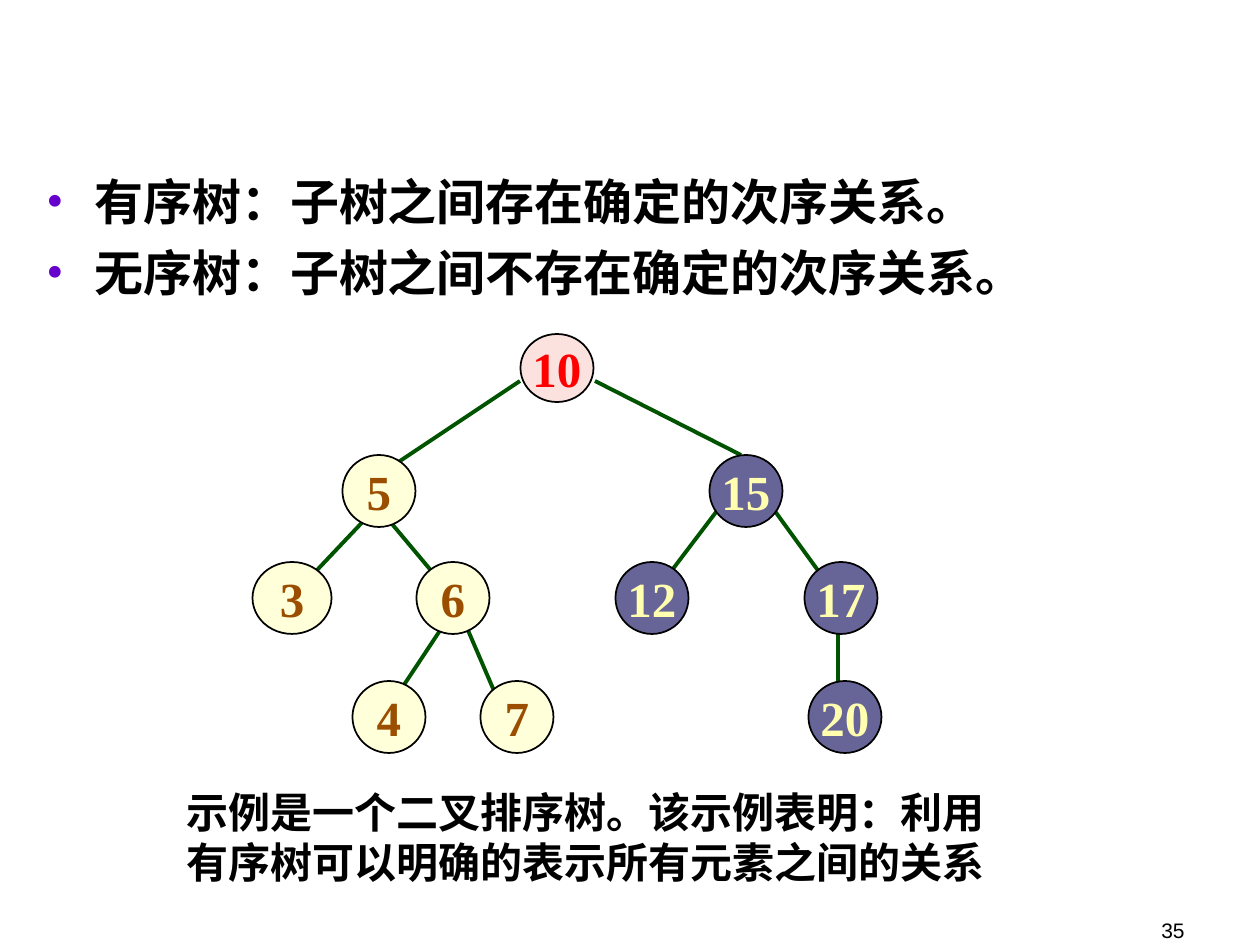
import pptx
import pptx.util
import pptx.dml.color
import pptx.enum.lang
import pptx.enum.shapes
import pptx.enum.text
from dataclasses import dataclass
from lxml import etree

POINTS = ["有序树：子树之间存在确定的次序关系。",
          "无序树：子树之间不存在确定的次序关系。"]
NOTE = "示例是一个二叉排序树。该示例表明：利用有序树可以明确的表示所有元素之间的关系"
PAGE = "35"

# row centre: (label, kind, column centre), all in px
ROWS = {
    368: [("10", "root", 557)],
    491: [("5", "left", 379), ("15", "right", 746)],
    598: [("3", "left", 292), ("6", "left", 453),
          ("12", "right", 652), ("17", "right", 841)],
    717: [("4", "left", 389), ("7", "left", 517), ("20", "right", 845)],
}
NODE = (73, 72)
SIZES = {"10": (73, 68), "3": (79, 72)}

# x and y of both ends, parent first
EDGES = [
    (838, 621, 838, 721), (769, 503, 822, 576), (723, 503, 660, 586),
    (382, 512, 444, 586), (372, 512, 302, 586), (461, 614, 501, 707),
    (451, 614, 392, 703), (520, 381, 382, 473), (595, 381, 741, 455),
]


@dataclass(frozen=True)
class Theme:
    serif: str = "Times New Roman"
    sans: str = "Arial"
    ink: str = "000000"
    bullet: str = "6600CC"
    edge: str = "005400"
    root: tuple = ("FBE2DF", "FF0000")
    left: tuple = ("FFFFD9", "9C4E00")
    right: tuple = ("676597", "FFFFAF")
    big: int = 28
    mid: int = 24
    small: int = 12


THEME = Theme()
ALIGN = pptx.enum.text.PP_ALIGN
ANCHOR = pptx.enum.text.MSO_ANCHOR
Pt = pptx.util.Pt


def px(*vals):
    return [round(v * 914400 / 126) for v in vals]


def rgb(code):
    return pptx.dml.color.RGBColor.from_string(code)


def sub(parent, tag, **attrs):
    return etree.SubElement(parent, pptx.oxml.ns.qn(tag), attrs)


def write(para, text, size, color=THEME.ink, face=THEME.serif, bold=True):
    run = para.add_run()
    run.text = text
    font = run.font
    font.name, font.size, font.bold = face, Pt(size), bold
    font.color.rgb = rgb(color)
    font.language_id = pptx.enum.lang.MSO_LANGUAGE_ID.SIMPLIFIED_CHINESE


def add_box(slide, *area):
    frame = slide.shapes.add_textbox(*px(*area)).text_frame
    frame.word_wrap = True
    return frame


def add_points(slide):
    frame = add_box(slide, 34, 165, 1191, 714)
    for i, text in enumerate(POINTS):
        para = frame.add_paragraph() if i else frame.paragraphs[0]
        if i:
            para.space_before = Pt(7)
        props = para._p.get_or_add_pPr()
        hang = px(48)[0]
        props.set("marL", str(hang))
        props.set("indent", str(-hang))
        sub(sub(props, "a:buClr"), "a:srgbClr", val=THEME.bullet)
        sub(props, "a:buFont", typeface=THEME.serif)
        sub(props, "a:buChar", char="•")
        write(para, text, THEME.big)


def add_edge(slide, ends):
    kind = pptx.enum.shapes.MSO_CONNECTOR.STRAIGHT
    edge = slide.shapes.add_connector(kind, *px(*ends))
    edge.line.color.rgb = rgb(THEME.edge)
    edge.line.width = Pt(2.25)
    sub(edge._element.spPr, "a:effectLst")


def add_node(slide, label, kind, mid_x, mid_y):
    wide, high = SIZES.get(label, NODE)
    fill, ink = getattr(THEME, kind)
    area = px(mid_x - wide / 2, mid_y - high / 2, wide, high)
    node = slide.shapes.add_shape(pptx.enum.shapes.MSO_SHAPE.OVAL, *area)
    node.shadow.inherit = False
    node.fill.solid()
    node.fill.fore_color.rgb = rgb(fill)
    node.line.color.rgb = rgb(THEME.ink)
    node.line.width = Pt(1)
    frame = node.text_frame
    frame.word_wrap = False
    frame.vertical_anchor = ANCHOR.MIDDLE
    para = frame.paragraphs[0]
    para.alignment = ALIGN.CENTER
    write(para, label, THEME.big, ink)


def main():
    deck = pptx.Presentation()
    deck.slide_width, deck.slide_height = px(1260, 945)
    slide = deck.slides.add_slide(deck.slide_layouts[6])

    frame = add_box(slide, 903, 886, 294, 63)
    frame.vertical_anchor = ANCHOR.BOTTOM
    frame.paragraphs[0].alignment = ALIGN.RIGHT
    write(frame.paragraphs[0], PAGE, THEME.small, face=THEME.sans, bold=False)

    add_points(slide)
    for ends in EDGES:
        add_edge(slide, ends)
    for mid_y, row in ROWS.items():
        for label, kind, mid_x in row:
            add_node(slide, label, kind, mid_x, mid_y)

    frame = add_box(slide, 164, 780, 843, 113)
    frame.paragraphs[0].alignment = ALIGN.CENTER
    write(frame.paragraphs[0], NOTE, THEME.mid)

    deck.save("out.pptx")


if __name__ == "__main__":
    main()
